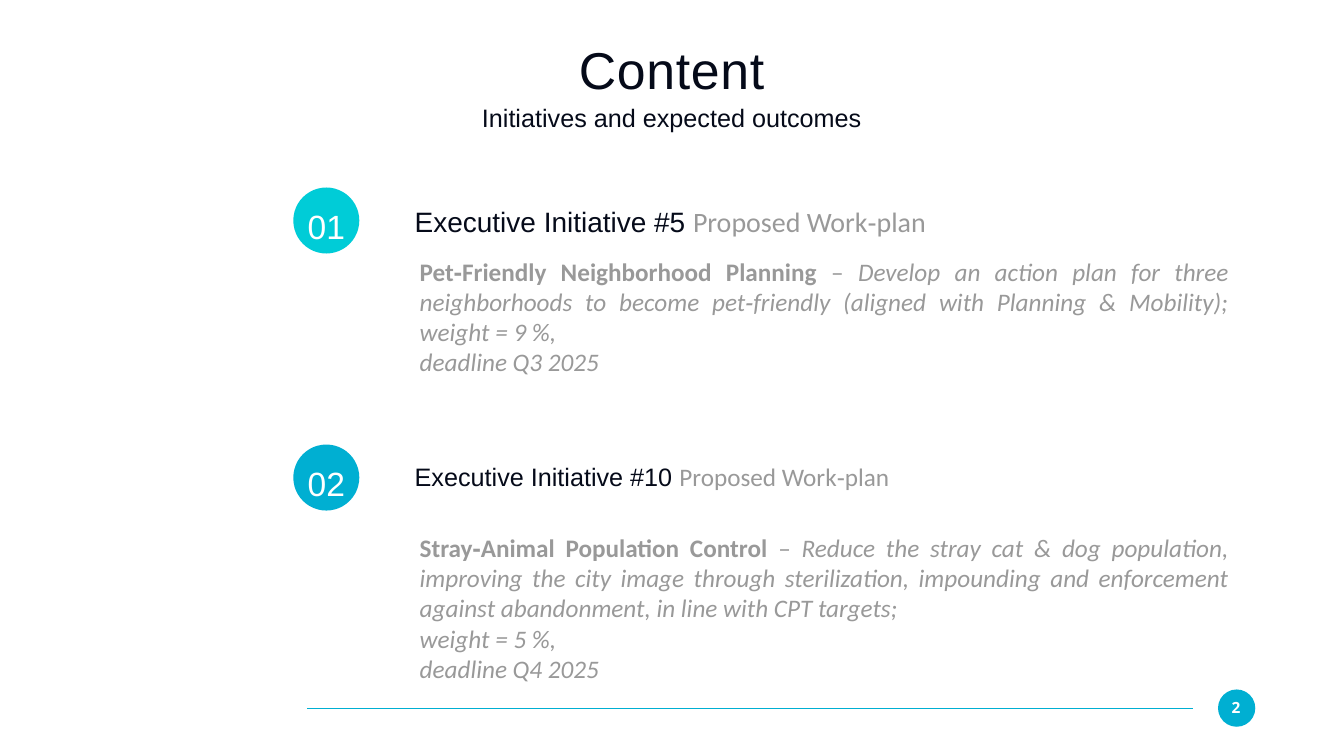
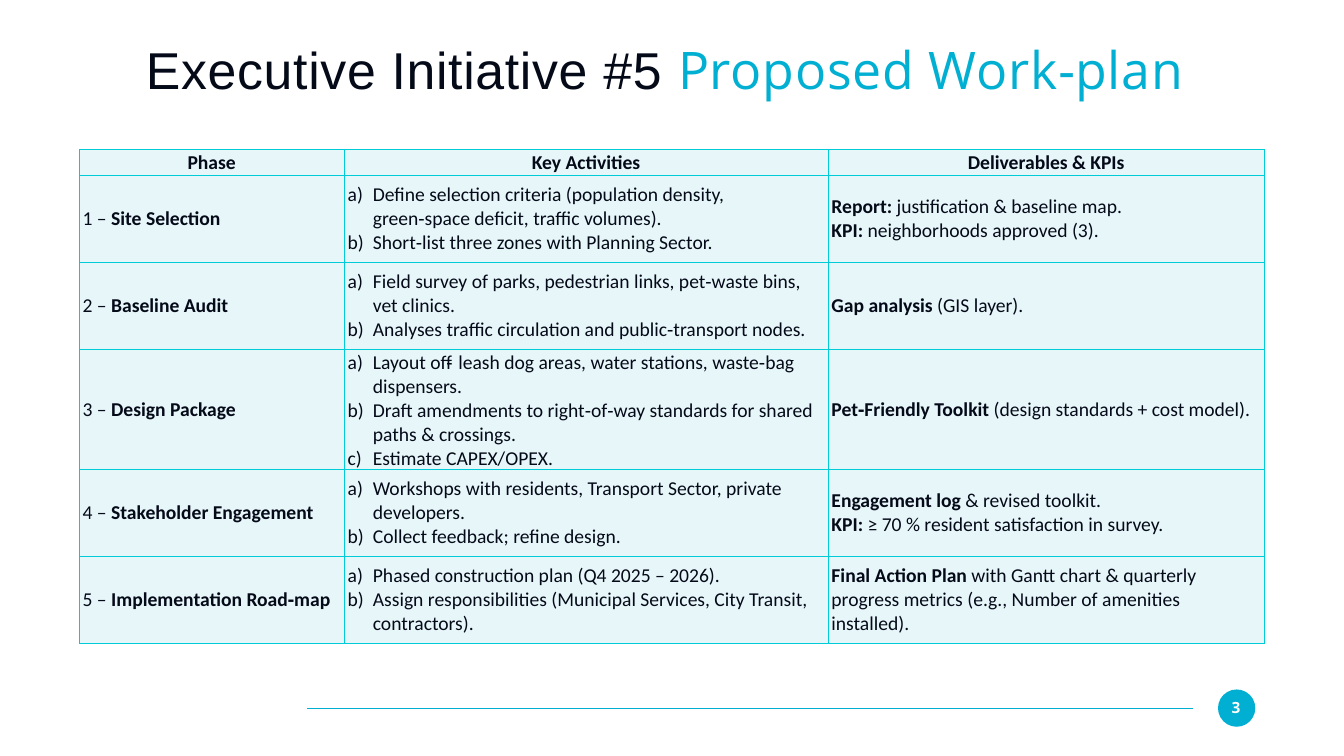
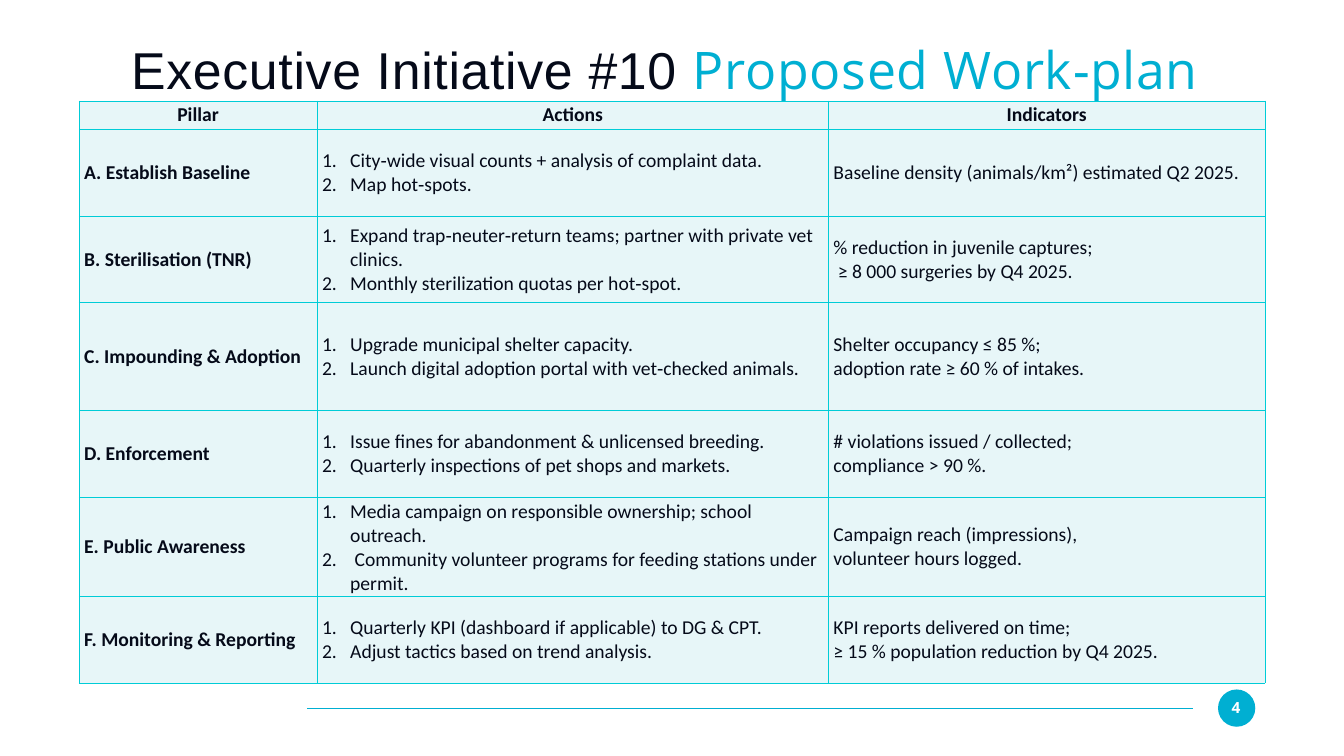
"""Build the content slide and the two initiative work-plan slides."""
from lxml.etree import SubElement
from pptx import Presentation
from pptx.dml.color import RGBColor
from pptx.enum.shapes import MSO_CONNECTOR, MSO_SHAPE
from pptx.enum.text import MSO_ANCHOR, MSO_AUTO_SIZE, PP_ALIGN
from pptx.oxml.ns import qn
from pptx.util import Inches, Pt

INK, BLUE, TEAL = "050A19", "00AFD2", "00CCD7"
GREY, PALE, WHITE = "999999", "E7F6F8", "FFFFFF"
HEADING, BODY, ACCENT = "Arial", "Calibri", "Open Sans"
CENTER, JUSTIFY, LEFT = PP_ALIGN.CENTER, PP_ALIGN.JUSTIFY, PP_ALIGN.LEFT


def write(paragraph, text, size, font, color, italic=False):
    """Add text to a paragraph, with the parts between ** in bold."""
    for index, piece in enumerate(text.split("**")):
        if piece:
            run = paragraph.add_run()
            run.text = piece
            run.font.size = Pt(size)
            run.font.name = font
            run.font.bold = index % 2 == 1
            run.font.italic = italic
            run.font.color.rgb = RGBColor.from_string(color)


def add_frame(slide, left, top, width, height, align=LEFT, inset=(0, 0), grow=True):
    """Add a wrapping text box and return its text frame."""
    frame = slide.shapes.add_textbox(
        Inches(left), Inches(top), Inches(width), Inches(height)).text_frame
    frame.word_wrap = True
    frame.auto_size = MSO_AUTO_SIZE.SHAPE_TO_FIT_TEXT if grow else MSO_AUTO_SIZE.NONE
    frame.margin_left = frame.margin_right = Inches(inset[0])
    frame.margin_top = frame.margin_bottom = Inches(inset[1])
    frame.paragraphs[0].alignment = align
    return frame


deck = Presentation()
deck.slide_width, deck.slide_height = Inches(26.67), Inches(15)

titles = [
    ("Content", ""),
    ("Executive Initiative #5 ", "Proposed Work‑plan "),
    ("Executive Initiative #10 ", "Proposed Work‑plan "),
]
slides = []
for page, (title, title_accent) in enumerate(titles, start=2):
    slide = deck.slides.add_slide(deck.slide_layouts[6])
    slides.append(slide)

    page_disc = slide.shapes.add_shape(
        MSO_SHAPE.OVAL, Inches(24.17), Inches(13.68), Inches(0.74), Inches(0.74))
    page_disc.shadow.inherit = False
    page_disc.fill.solid()
    page_disc.fill.fore_color.rgb = RGBColor.from_string(BLUE)
    page_disc.line.fill.background()
    page_number = add_frame(slide, 24.23, 13.85, 0.59, 0.37, CENTER)
    write(page_number.paragraphs[0], f"**{page}**", 22, ACCENT, WHITE)

    footer_rule = slide.shapes.add_connector(
        MSO_CONNECTOR.STRAIGHT, Inches(23.67), Inches(14.05), Inches(6.09), Inches(14.05))
    footer_rule.line.color.rgb = RGBColor.from_string(BLUE)
    footer_rule.line.width = Pt(1.5)
    SubElement(footer_rule._element.spPr, qn("a:effectLst"))

    heading = add_frame(slide, 1.83, 0.73, 23, 1.27, CENTER, grow=False)
    heading.vertical_anchor = MSO_ANCHOR.MIDDLE
    write(heading.paragraphs[0], title, 74, HEADING, INK)
    write(heading.paragraphs[0], title_accent, 74, ACCENT, BLUE)
    for run in heading.paragraphs[0].runs:
        run.font._element.set("spc", "100")

content, pet_plan, stray_plan = slides

subtitle = add_frame(content, 1.83, 2.03, 23, 0.49, CENTER, grow=False)
write(subtitle.paragraphs[0], "Initiatives and expected outcomes", 36, HEADING, INK)

initiatives = [
    ("01", TEAL, 3.72, "Executive Initiative #5 ", 40, (4.05, 13.29, 0.67), (5.03, 2.52),
     "**Pet‑Friendly Neighborhood Planning** – ",
     ["Develop an action plan for three neighborhoods to become pet‑friendly "
      "(aligned with Planning & Mobility); weight = 9 %, ",
      "deadline Q3 2025"]),
    ("02", BLUE, 8.82, "Executive Initiative #10 ", 36, (9.16, 12.47, 0.61), (10.51, 3.13),
     "**Stray‑Animal Population Control** – ",
     ["Reduce the stray cat & dog population, improving the city image through "
      "sterilization, impounding and enforcement against abandonment, in line with "
      "CPT targets;",
      "weight = 5 %,",
      "deadline Q4 2025"]),
]
for number, color, top, name, size, name_box, detail_box, lead, details in initiatives:
    disc = content.shapes.add_shape(
        MSO_SHAPE.OVAL, Inches(5.82), Inches(top), Inches(1.31), Inches(1.31))
    disc.shadow.inherit = False
    disc.fill.solid()
    disc.fill.fore_color.rgb = RGBColor.from_string(color)
    disc.line.fill.background()
    numeral = add_frame(content, 5.96, top + 0.2, 1.03, 0.97, CENTER)
    numeral.paragraphs[0].line_spacing = 1.2
    write(numeral.paragraphs[0], number, 48, HEADING, WHITE)

    name_top, name_width, name_height = name_box
    name_line = add_frame(content, 8.23, name_top, name_width, name_height).paragraphs[0]
    write(name_line, name, size, HEADING, INK)
    write(name_line, "Proposed Work‑plan", size, BODY, GREY)

    detail_top, detail_height = detail_box
    description = add_frame(
        content, 8.23, detail_top, 16.25, detail_height, JUSTIFY, (0.1, 0.05))
    write(description.paragraphs[0], lead, 36, BODY, GREY)
    for index, detail in enumerate(details):
        line = description.add_paragraph() if index else description.paragraphs[0]
        line.alignment = JUSTIFY
        write(line, detail, 36, BODY, GREY, italic=True)

pet_rows = [
    ("**Phase**", "**Key Activities**", "**Deliverables & KPIs**"),
    ("1 – **Site Selection**",
     "Define selection criteria (population density, green‑space deficit, traffic volumes).\n"
     "Short‑list three zones with Planning Sector.",
     "**Report:** justification & baseline map.\n**KPI:** neighborhoods approved (3)."),
    ("2 – **Baseline Audit**",
     "Field survey of parks, pedestrian links, pet‑waste bins, vet clinics.\n"
     "Analyses traffic circulation and public‑transport nodes.",
     "**Gap analysis** (GIS layer)."),
    ("3 – **Design Package**",
     "Layout off‑leash dog areas, water stations, waste‑bag dispensers.\n"
     "Draft amendments to right‑of‑way standards for shared paths & crossings.\n"
     "Estimate CAPEX/OPEX.",
     "**Pet‑Friendly Toolkit** (design standards + cost model)."),
    ("4 – **Stakeholder Engagement**",
     "Workshops with residents, Transport Sector, private developers.\n"
     "Collect feedback; refine design.",
     "**Engagement log** & revised toolkit.\n**KPI:** ≥ 70 % resident satisfaction in survey."),
    ("5 – **Implementation Road‑map**",
     "Phased construction plan (Q4 2025 – 2026).\n"
     "Assign responsibilities (Municipal Services, City Transit, contractors).",
     "**Final Action Plan** with Gantt chart & quarterly progress metrics "
     "(e.g., Number of amenities installed)."),
]
stray_rows = [
    ("**Pillar**", "**Actions**", "**Indicators**"),
    ("**A. Establish Baseline**",
     "City‑wide visual counts + analysis of complaint data.\nMap hot‑spots.",
     "Baseline density (animals/km²) estimated Q2 2025."),
    ("**B. Sterilisation (TNR)**",
     "Expand trap‑neuter‑return teams; partner with private vet clinics.\n"
     "Monthly sterilization quotas per hot‑spot.",
     "% reduction in juvenile captures;\n ≥ 8 000 surgeries by Q4 2025."),
    ("**C. Impounding & Adoption**",
     "Upgrade municipal shelter capacity.\n"
     "Launch digital adoption portal with vet‑checked animals.",
     "Shelter occupancy ≤ 85 %;\nadoption rate ≥ 60 % of intakes."),
    ("**D. Enforcement**",
     "Issue fines for abandonment & unlicensed breeding.\n"
     "Quarterly inspections of pet shops and markets.",
     "# violations issued / collected;\ncompliance > 90 %."),
    ("**E. Public Awareness**",
     "Media campaign on responsible ownership; school outreach.\n"
     " Community volunteer programs for feeding stations under permit.",
     "Campaign reach (impressions),\nvolunteer hours logged."),
    ("**F. Monitoring & Reporting**",
     "Quarterly KPI (dashboard if applicable) to DG & CPT.\n"
     "Adjust tactics based on trend analysis.",
     "KPI reports delivered on time;\n≥ 15 % population reduction by Q4 2025."),
]
plans = [
    (pet_plan, pet_rows, 2.96, (5.26, 9.6, 8.66), (0.07, 0.03), "alphaLcParenR", 0.5),
    (stray_plan, stray_rows, 2, (4.72, 10.15, 8.66), (0.1, 0.05), "arabicPeriod", 0.56),
]
for slide, rows, top, widths, (side, edge), numbering, indent in plans:
    heights = [0.48] + [1.72] * (len(rows) - 1)
    heights[3] = 2.14
    plan = slide.shapes.add_table(
        len(rows), 3, Inches(1.57), Inches(top), Inches(23.52), Inches(sum(heights))).table
    plan.first_row = plan.horz_banding = False
    for column, width in zip(plan.columns, widths):
        column.width = Inches(width)
    for row, height in zip(plan.rows, heights):
        row.height = Inches(height)

    for row_index, texts in enumerate(rows):
        for column_index, text in enumerate(texts):
            cell = plan.cell(row_index, column_index)
            cell.vertical_anchor = MSO_ANCHOR.MIDDLE
            cell.margin_left = cell.margin_right = Inches(side)
            cell.margin_top = cell.margin_bottom = Inches(edge)
            cell_properties = cell._tc.get_or_add_tcPr()
            for border_tag in ("a:lnL", "a:lnR", "a:lnT", "a:lnB"):
                border = SubElement(cell_properties, qn(border_tag), w=str(Pt(1)))
                border_fill = SubElement(border, qn("a:solidFill"))
                SubElement(border_fill, qn("a:srgbClr"), val=TEAL)
            cell.fill.solid()
            cell.fill.fore_color.rgb = RGBColor.from_string(PALE)

            for index, item in enumerate(text.split("\n")):
                frame = cell.text_frame
                line = frame.add_paragraph() if index else frame.paragraphs[0]
                line.alignment = LEFT if row_index else CENTER
                if row_index and column_index == 1:
                    line_properties = line._p.get_or_add_pPr()
                    line_properties.set("marL", str(Inches(indent)))
                    line_properties.set("indent", str(-Inches(indent)))
                    SubElement(line_properties, qn("a:buAutoNum"), type=numbering)
                write(line, item, 28, BODY, INK)

deck.save("out.pptx")
